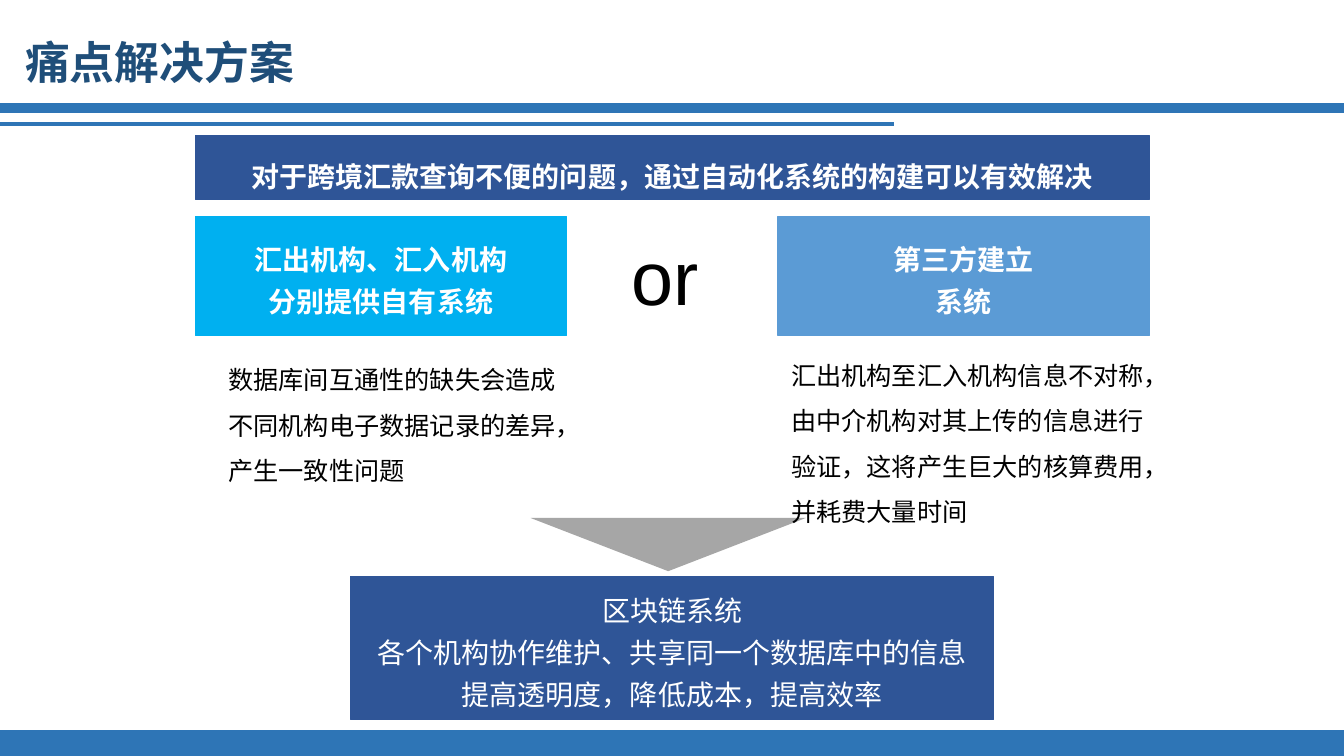
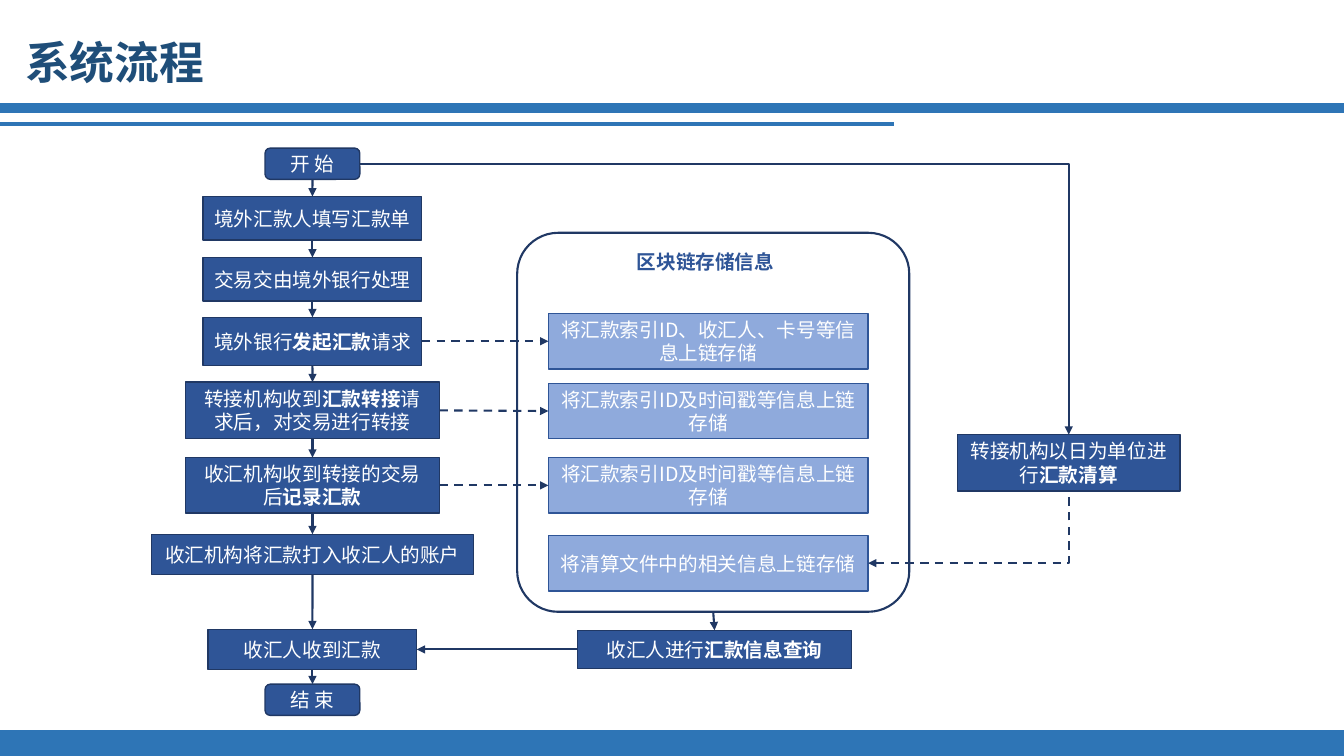
from dataclasses import dataclass, field
from itertools import pairwise

from lxml import etree
from pptx import Presentation
from pptx import util as u
from pptx.dml.color import RGBColor
from pptx.enum import dml, shapes, text
from pptx.oxml import ns

# Colours
WHITE = RGBColor(0xFF, 0xFF, 0xFF)
BLACK = RGBColor(0x00, 0x00, 0x00)
BAND = RGBColor(0x2E, 0x75, 0xB6)
TITLE = RGBColor(0x1F, 0x4E, 0x79)
BLUE = RGBColor(0x2F, 0x55, 0x97)
NAVY = RGBColor(0x20, 0x38, 0x64)
CYAN = RGBColor(0x00, 0xB0, 0xF0)
SKY = RGBColor(0x5B, 0x9B, 0xD5)
PALE = RGBColor(0x8F, 0xAA, 0xDC)
GREY = RGBColor(0xA6, 0xA6, 0xA6)

HAN = "Noto Sans CJK SC"
RECT = shapes.MSO_SHAPE.RECTANGLE
ROUND = shapes.MSO_SHAPE.ROUNDED_RECTANGLE
TOP, LEFT, BOTTOM, RIGHT = range(4)
MID, HIGH, LOW = text.MSO_ANCHOR.MIDDLE, text.MSO_ANCHOR.TOP, text.MSO_ANCHOR.BOTTOM
CENTER, START = text.PP_ALIGN.CENTER, text.PP_ALIGN.LEFT


@dataclass(frozen=True)
class Style:
    size: float
    color: RGBColor = WHITE
    bold: bool = False
    face: str = HAN
    para: dict = field(default_factory=dict)
    anchor: text.MSO_ANCHOR = MID


def flow(gap: float, align=CENTER) -> dict:
    return {"alignment": align, "line_spacing": gap}


HEAD = Style(32, TITLE, True, "Montserrat", flow(0.9, START), LOW)
CLAIM = Style(20, bold=True, para=flow(1.5))
CARD = Style(20, bold=True, para=flow(1.25))
RESULT = Style(20, para=flow(1.25))
BODY = Style(18, BLACK, para=flow(1.5, START), anchor=HIGH)
OR = Style(54, BLACK, face="Arial", para=flow(1.0), anchor=HIGH)
STEP = Style(14, para=flow(1.0))
LABEL = Style(14, BLUE, True, para=flow(1.0, START), anchor=HIGH)


@dataclass(frozen=True)
class Box:
    x: float
    y: float
    w: float
    h: float
    words: str = ""
    style: Style = STEP
    fill: RGBColor | None = BLUE
    edge: RGBColor | None = None
    geom: shapes.MSO_SHAPE | None = RECT  # None makes a text box
    thick: float = 1
    turn: float = 0
    curve: float | None = None


def add(parent, tag: str, **attrs: str) -> None:
    node = etree.SubElement(parent, ns.qn(tag))
    for key, value in attrs.items():
        node.set(key, value)


def write(frame, words: str, style: Style) -> None:
    """Write one paragraph a line; parts between asterisks are bold."""
    frame.word_wrap = True
    frame.vertical_anchor = style.anchor
    for n, line in enumerate(words.split("\n")):
        para = frame.add_paragraph() if n else frame.paragraphs[0]
        for key, value in style.para.items():
            setattr(para, key, value)
        for k, part in enumerate(line.split("*")):
            if not part:
                continue
            run = para.add_run()
            run.text = part
            look = {"size": u.Pt(style.size), "name": style.face,
                    "bold": style.bold or k % 2 == 1}
            for key, value in look.items():
                setattr(run.font, key, value)
            run.font.color.rgb = style.color
            add(run.font._element, "a:ea", typeface=HAN)


def draw(slide, box: Box):
    place = [u.Pt(v) for v in (box.x, box.y, box.w, box.h)]
    if box.geom is None:
        shape = slide.shapes.add_textbox(*place)
    else:
        shape = slide.shapes.add_shape(box.geom, *place)
        shape.shadow.inherit = False
        shape.rotation = box.turn
        if box.curve is not None:
            shape.adjustments[0] = box.curve
        for paint, color in ((shape.fill, box.fill), (shape.line.fill, box.edge)):
            if color is None:
                paint.background()
            else:
                paint.solid()
                paint.fore_color.rgb = color
        if box.edge is not None:
            shape.line.width = u.Pt(box.thick)
    if box.words:
        write(shape.text_frame, box.words, box.style)
    return shape


def rule(slide, x: float, y: float, end: float, color: RGBColor, width: float,
         bend: bool = False):
    kind = shapes.MSO_CONNECTOR.ELBOW if bend else shapes.MSO_CONNECTOR.STRAIGHT
    line = slide.shapes.add_connector(kind, u.Pt(x), u.Pt(y), u.Pt(end), u.Pt(y))
    line.line.color.rgb = color
    line.line.width = u.Pt(width)
    add(line._element.spPr, "a:effectLst")
    return line


def join(slide, a, side: int, b, goal: int, dash: bool = False,
         bend: bool = False, tip: str = "a:tailEnd") -> None:
    line = rule(slide, 0, 0, 0, NAVY, 1.5, bend)
    props = line._element.spPr
    if bend:
        props.find(ns.qn("a:prstGeom")).set("prst", "bentConnector2")
    if dash:
        line.line.dash_style = dml.MSO_LINE.DASH
    add(props.find(ns.qn("a:ln")), tip, type="triangle")
    line.begin_connect(a, side)
    line.end_connect(b, goal)


def start(deck, title: str):
    """Add a slide with the shared bands and title."""
    slide = deck.slides.add_slide(deck.slide_layouts[6])
    for y, end, width in ((77, 960, 7.5), (88.5, 638.6, 3), (530.6, 960, 19)):
        rule(slide, 0, y, end, BAND, width)
    draw(slide, Box(10.8, 19.4, 434.9, 48.2, title, HEAD, geom=None))
    return slide


def pains(deck) -> None:
    slide = start(deck, "痛点解决方案")
    near, far, wide = 139.5, 555.7, 265.3
    for box in (
        # Claim and the two options
        Box(near, 97, far + wide - near, 45.4,
            "对于跨境汇款查询不便的问题，通过自动化系统的构建可以有效解决",
            CLAIM, BLUE, BLUE),
        Box(near, 154.8, wide, 85, "汇出机构、汇入机构\n分别提供自有系统", CARD, CYAN, CYAN),
        Box(far, 154.8, wide, 85, "第三方建立\n系统", CARD, SKY, SKY),
        Box(424, 160.6, 102.2, 72.7, "or", OR, geom=None),
        # Result
        Box(379, 370, 196.6, 38, fill=GREY, turn=180,
            geom=shapes.MSO_SHAPE.ISOSCELES_TRIANGLE),
        Box(250.4, 411.8, 459.4, 102.2,
            "区块链系统\n各个机构协作维护、共享同一个数据库中的信息\n提高透明度，降低成本，提高效率",
            RESULT, BLUE, BLUE),
        # Drawbacks
        Box(156, 246.2, 259.2, 58.3,
            "数据库间互通性的缺失会造成不同机构电子数据记录的差异，产生一致性问题",
            BODY, geom=None),
        Box(558, 243, 277.2, 83.5,
            "汇出机构至汇入机构信息不对称，由中介机构对其上传的信息进行验证，"
            "这将产生巨大的核算费用，并耗费大量时间",
            BODY, geom=None),
    ):
        draw(slide, box)


def process(deck) -> None:
    slide = start(deck, "系统流程")

    # Block chain frame
    vault = draw(slide, Box(369.4, 166.3, 280.1, 270.7, fill=None, edge=NAVY,
                            geom=ROUND, thick=1.5, curve=0.108))
    draw(slide, Box(447.8, 175, 116.6, 24.5, "区块链存储信息", LABEL, geom=None))

    # Main column, centred on one axis: top, width, height, words, outline
    axis = 223.2
    steps = [
        draw(slide, Box(axis - w / 2, y, w, h, words, edge=NAVY, geom=geom))
        for y, w, h, words, geom in (
            (105.8, 67.7, 22.3, "开 始", ROUND),
            (140.4, 156.2, 31, "境外汇款人填写汇款单", RECT),
            (183.9, 156.2, 31, "交易交由境外银行处理", RECT),
            (226.6, 156.2, 34.4, "境外银行*发起汇款*请求", RECT),
            (273, 181.4, 40.3, "转接机构收到*汇款转接*请求后，对交易进行转接", RECT),
            (326.9, 181.4, 39.6, "收汇机构收到转接的交易后*记录汇款*", RECT),
            (381.6, 229.7, 28.8, "收汇机构将汇款打入收汇人的账户", RECT),
            (449.5, 149, 28.8, "收汇人收到汇款", RECT),
            (488.7, 67.7, 22.3, "结 束", ROUND),
        )
    ]
    for a, b in pairwise(steps):
        join(slide, a, BOTTOM, b, TOP)

    # Records on the chain
    stamp = "将汇款索引ID及时间戳等信息上链存储"
    notes = [
        draw(slide, Box(391.7, y, 228.4, 39.6, words, fill=PALE, edge=BLUE))
        for y, words in (
            (224, "将汇款索引ID、收汇人、卡号等信息上链存储"),
            (273.8, stamp),
            (326.9, stamp),
            (382.5, "将清算文件中的相关信息上链存储"),
        )
    ]
    for a, b in zip(steps[3:6], notes):
        join(slide, a, RIGHT, b, LEFT, dash=True)

    # Daily clearing
    clear = draw(slide, Box(684, 310.5, 158.8, 40.3,
                            "转接机构以日为单位进行*汇款清算*", edge=NAVY))
    join(slide, steps[0], RIGHT, clear, TOP, bend=True)
    join(slide, notes[-1], RIGHT, clear, BOTTOM, dash=True, bend=True, tip="a:headEnd")

    # Query
    query = draw(slide, Box(412.4, 450.2, 196, 27.4, "收汇人进行*汇款信息查询*",
                            edge=NAVY))
    join(slide, vault, BOTTOM, query, TOP)
    join(slide, query, LEFT, steps[7], RIGHT)


def main() -> None:
    deck = Presentation()
    deck.slide_width, deck.slide_height = u.Pt(960), u.Pt(540)
    pains(deck)
    process(deck)
    deck.save("out.pptx")


if __name__ == "__main__":
    main()
